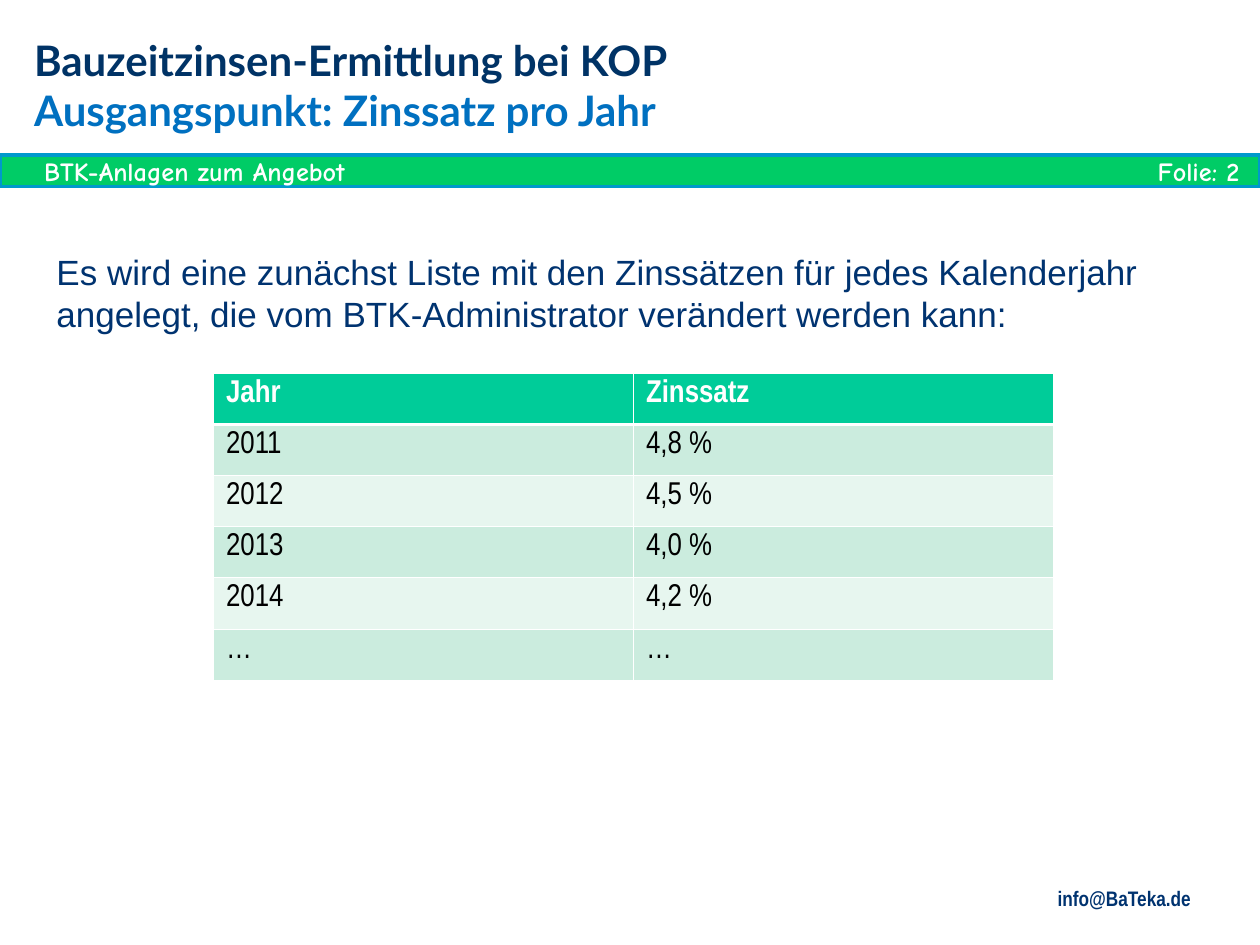
from dataclasses import dataclass

from lxml.etree import SubElement
from pptx import Presentation
from pptx.dml.color import RGBColor as RGB
from pptx.enum.shapes import MSO_SHAPE as Shape
from pptx.enum.text import PP_ALIGN as Align
from pptx.oxml.ns import qn
from pptx.util import Pt


@dataclass(frozen=True)
class Theme:
    white: RGB = RGB.from_string("FFFFFF")
    black: RGB = RGB.from_string("000000")
    heading: RGB = RGB.from_string("003366")
    subheading: RGB = RGB.from_string("0070C0")
    body: RGB = RGB.from_string("003370")
    band: RGB = RGB.from_string("00CC66")
    band_edge: RGB = RGB.from_string("0099CC")
    header_row: RGB = RGB.from_string("00CC99")
    odd_row: RGB = RGB.from_string("CBECDE")
    even_row: RGB = RGB.from_string("E7F6EF")
    title_size: float = 24
    body_size: float = 20
    table_size: float = 18
    band_size: float = 15
    contact_size: float = 12
    title_font: str = "Lato"
    body_font: str = "Arial"
    narrow_font: str = "Arial Narrow"
    band_font: str = "Comic Neue"


THEME = Theme()
RATES = [
    ("Jahr", "Zinssatz"),
    ("2011", "4,8 %"),
    ("2012", "4,5 %"),
    ("2013", "4,0 %"),
    ("2014", "4,2 %"),
    ("…", "…"),
]


def style(paragraph, font, size, color, bold):
    paragraph.font.name = font
    paragraph.font.size = Pt(size)
    paragraph.font.color.rgb = color
    paragraph.font.bold = bold


def add_text(slide, box, text, font, size, color, bold=True,
             align=Align.LEFT, inset=(0, 0), leading=None):
    frame = slide.shapes.add_textbox(*map(Pt, box)).text_frame
    frame.word_wrap = True
    frame.margin_left = frame.margin_right = Pt(inset[0])
    frame.margin_top = frame.margin_bottom = Pt(inset[1])
    line = frame.paragraphs[0]
    line.text = text
    line.alignment = align
    if leading:
        line.line_spacing = Pt(leading)
    style(line, font, size, color, bold)


def add_band(slide):
    band = slide.shapes.add_shape(Shape.RECTANGLE, *map(Pt, (0, 88.5, 720, 18)))
    band.shadow.inherit = False
    band.fill.solid()
    band.fill.fore_color.rgb = THEME.band
    band.line.color.rgb = THEME.band_edge
    band.line.width = Pt(2)
    label = (THEME.band_font, THEME.band_size, THEME.white)
    add_text(slide, (25.2, 88.5, 694.8, 18), "BTK-Anlagen zum Angebot", *label)
    add_text(slide, (354.2, 88.5, 354.2, 18), "Folie: 2", *label, align=Align.RIGHT)


def set_borders(cell, widths):
    properties = cell._tc.get_or_add_tcPr()
    for position, (side, width) in enumerate(widths.items()):
        border = SubElement(properties, qn(f"a:ln{side}"), w=str(Pt(width)))
        fill = SubElement(border, qn("a:solidFill"))
        SubElement(fill, qn("a:srgbClr"), val=str(THEME.white))
        properties.insert(position, border)


def add_rate_table(slide):
    box = map(Pt, (122, 213.4, 480, 175.2))
    table = slide.shapes.add_table(len(RATES), len(RATES[0]), *box).table
    thin, thick = 0.45, 1.47
    for row, values in enumerate(RATES):
        header = row == 0
        band = THEME.odd_row if row % 2 else THEME.even_row
        for column, value in enumerate(values):
            cell = table.cell(row, column)
            cell.text = value
            cell.fill.solid()
            cell.fill.fore_color.rgb = THEME.header_row if header else band
            style(cell.text_frame.paragraphs[0], THEME.narrow_font, THEME.table_size,
                  THEME.white if header else THEME.black, header)
            set_borders(cell, {"L": thin, "R": thin,
                               "T": thick if row == 1 else thin,
                               "B": thick if header else thin})


def main():
    deck = Presentation()
    deck.slide_width, deck.slide_height = Pt(720), Pt(540)
    slide = deck.slides.add_slide(deck.slide_layouts[6])

    add_band(slide)
    add_text(slide, (393.8, 502.6, 293.8, 21.6), "info@BaTeka.de",
             THEME.narrow_font, THEME.contact_size, THEME.body,
             align=Align.RIGHT, inset=(7.2, 3.6))
    add_text(slide, (19.5, 20.2, 635, 28), "Bauzeitzinsen-Ermittlung bei KOP",
             THEME.title_font, THEME.title_size, THEME.heading, leading=28.5)
    add_text(slide, (19.5, 48.7, 613, 28), "Ausgangspunkt: Zinssatz pro Jahr",
             THEME.title_font, THEME.title_size, THEME.subheading, leading=28.5)
    add_text(slide, (25.2, 139.7, 674.6, 55.4),
             "Es wird eine zunächst Liste mit den Zinssätzen für jedes Kalenderjahr "
             "angelegt, die vom BTK-Administrator verändert werden kann:",
             THEME.body_font, THEME.body_size, THEME.body, bold=False, inset=(7.2, 3.6))
    add_rate_table(slide)

    deck.save("out.pptx")


if __name__ == "__main__":
    main()
